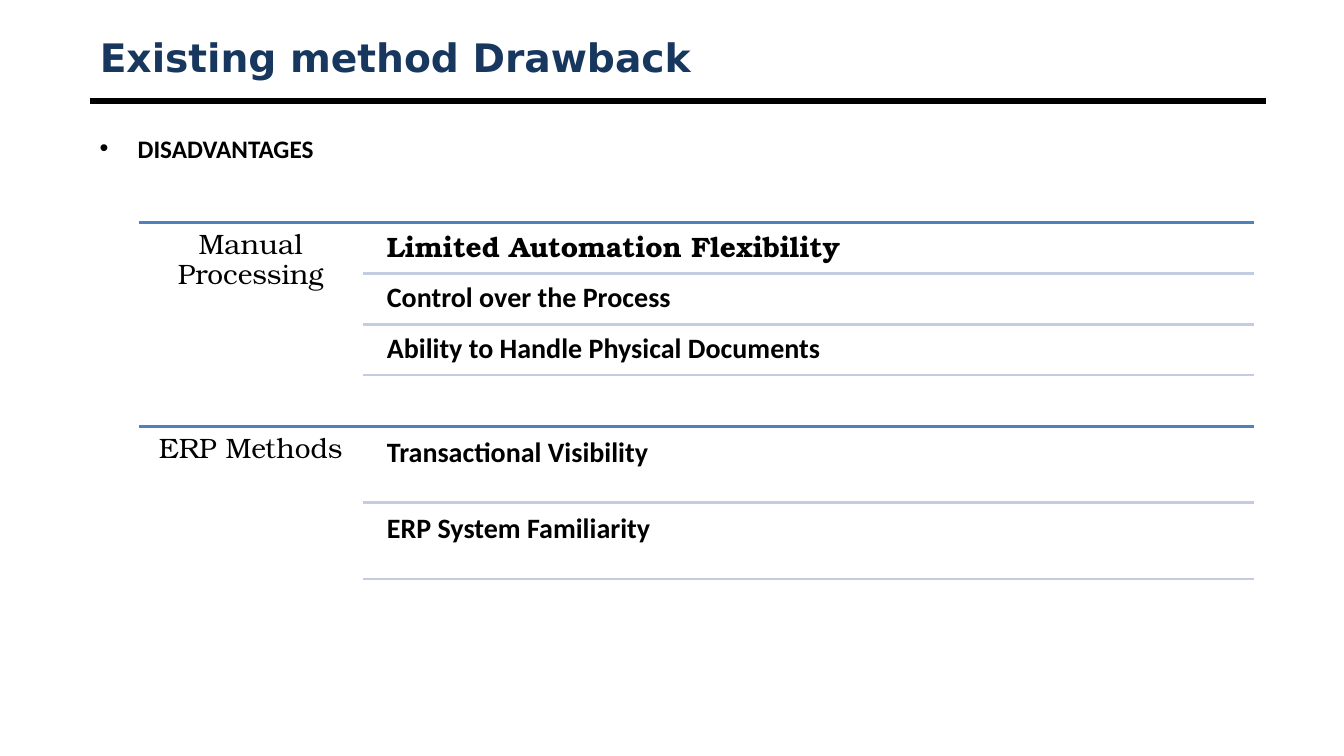
from lxml import etree
from pptx import Presentation
from pptx import util as u
from pptx.dml.color import RGBColor
from pptx.enum import shapes, text
from pptx.oxml.ns import qn

BLACK = RGBColor(0x00, 0x00, 0x00)
NAVY = RGBColor(0x17, 0x37, 0x5E)
BLUE = RGBColor(0x4F, 0x81, 0xBD)
PALE = RGBColor(0xC2, 0xCD, 0xE1)
SERIF = "TeX Gyre Bonum"
SANS = "Calibri"

deck = Presentation()
deck.slide_width, deck.slide_height = u.Inches(13.333), u.Inches(7.5)
page = deck.slides.add_slide(deck.slide_layouts[5])


def add_rule(left, right, y, color, width):
    rule = page.shapes.add_connector(
        shapes.MSO_CONNECTOR.STRAIGHT, u.Cm(left), u.Cm(y), u.Cm(right), u.Cm(y))
    rule.line.color.rgb = color
    rule.line.width = u.Pt(width)
    etree.SubElement(rule._element.spPr, qn("a:effectLst"))


def add_text(left, top, width, height, words, font, size, bold, inset=0.2):
    box = page.shapes.add_textbox(u.Cm(left), u.Cm(top), u.Cm(width), u.Cm(height))
    frame = box.text_frame
    frame.word_wrap = True
    frame.margin_left = frame.margin_right = u.Cm(inset)
    frame.margin_top = frame.margin_bottom = u.Cm(0.2)
    para = frame.paragraphs[0]
    para.line_spacing = 0.9
    span = para.add_run()
    span.text = words
    span.font.name, span.font.size, span.font.bold = font, u.Pt(size), bold
    span.font.color.rgb = BLACK
    return para


# Title and the rule below it
add_rule(2.26, 31.9, 2.54, BLACK, 4.5)
title = page.shapes.title
title.left, title.top = u.Cm(2.26), u.Cm(0.76)
title.width, title.height = u.Cm(29.64), u.Cm(1.35)
title.text_frame.auto_size = text.MSO_AUTO_SIZE.NONE
title.text_frame.vertical_anchor = text.MSO_ANCHOR.MIDDLE
para = title.text_frame.paragraphs[0]
para.alignment = text.PP_ALIGN.LEFT
span = para.add_run()
span.text = "Existing method Drawback"
span.font.name, span.font.size, span.font.bold = "DejaVu Sans", u.Pt(28), True
span.font.color.rgb = NAVY

# Bulleted heading
heading = add_text(2.26, 3.15, 29.64, 1.2, "DISADVANTAGES", SANS, 18, True, inset=0.25)
heading.line_spacing = 1.0
props = heading._p.get_or_add_pPr()
props.set("marL", str(u.Cm(0.96)))
props.set("indent", str(-u.Cm(0.96)))
etree.SubElement(props, qn("a:buFont")).set("typeface", "Arial")
etree.SubElement(props, qn("a:buChar")).set("char", "•")

# Each method: top, row height, gap above a row, drawbacks with their fonts
methods = [
    ("Manual Processing", 5.61, 1.22, 0.06, [
        ("Limited Automation Flexibility", SERIF),
        ("Control over the Process", SANS),
        ("Ability to Handle Physical Documents", SANS)]),
    ("ERP Methods", 10.75, 1.83, 0.09, [
        ("Transactional Visibility", SANS),
        ("ERP System Familiarity", SANS)]),
]
for method, top, height, gap, drawbacks in methods:
    add_rule(3.51, 31.6, top, BLUE, 2)
    label = add_text(3.51, top, 5.62, 3.94, method, SERIF, 20, False)
    label.alignment = text.PP_ALIGN.CENTER
    for row, (drawback, font) in enumerate(drawbacks):
        row_top = top + gap + row * (height + gap)
        add_text(9.55, row_top, 22.05, height, drawback, font, 20, True)
        add_rule(9.14, 31.6, row_top + height, PALE, 2)

deck.save("out.pptx")
